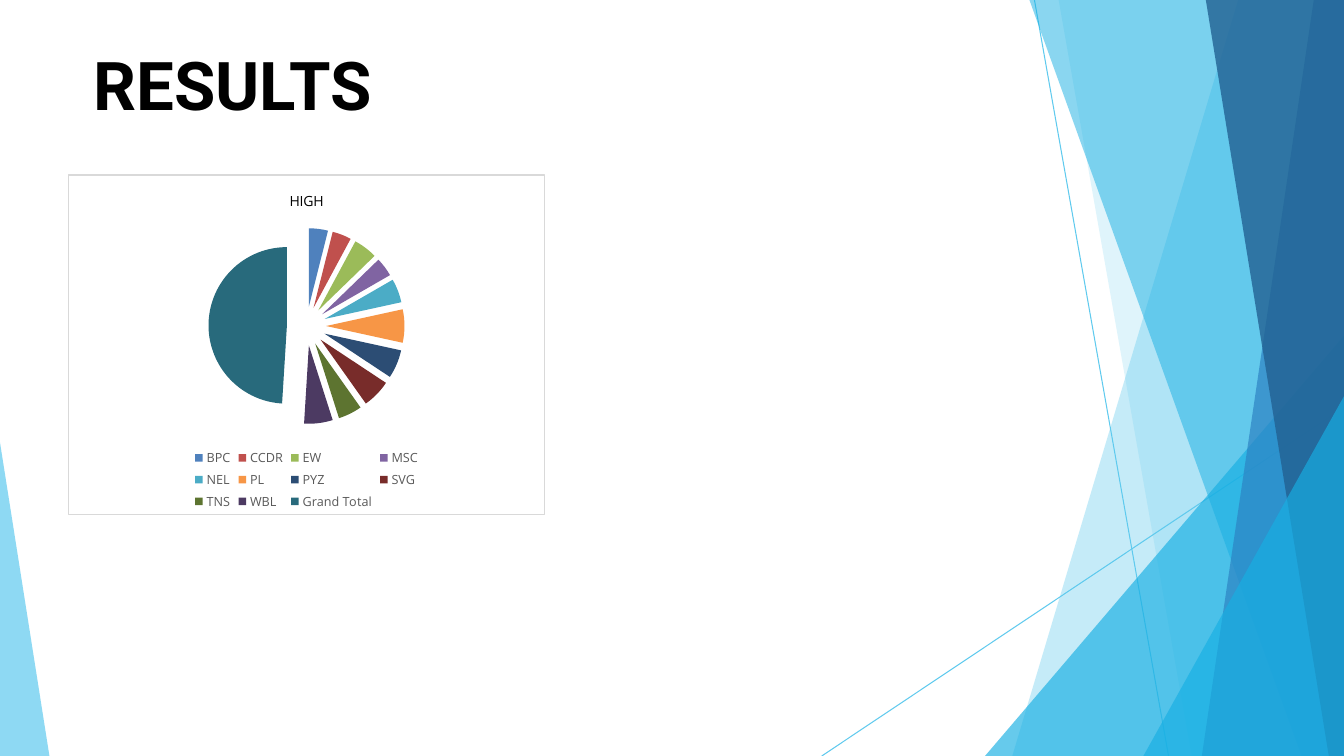
from lxml.etree import SubElement
from pptx import Presentation
from pptx.chart.data import CategoryChartData
from pptx.dml.color import RGBColor
from pptx.enum.chart import XL_CHART_TYPE, XL_LEGEND_POSITION
from pptx.enum.shapes import MSO_CONNECTOR
from pptx.enum.text import MSO_ANCHOR
from pptx.oxml import parse_xml
from pptx.oxml.ns import nsdecls, qn
from pptx.util import Pt

PX = 9144
WIDTH, HEIGHT = 1333, 750

SKY, AZURE, BLUE, NAVY = "5FCAEE", "17AFE3", "2D83C3", "226192"

RAYS = [((1026, 0), (1159, HEIGHT)), ((WIDTH, 404), (815, HEIGHT))]

FACETS = [
    (SKY, 36, [(WIDTH, 0), (1228, 0), (1004, HEIGHT), (WIDTH, HEIGHT)]),
    (SKY, 20, [(WIDTH, 0), (1050, 0), (1182, HEIGHT), (WIDTH, HEIGHT)]),
    (AZURE, 66, [(WIDTH, 333), (977, HEIGHT), (WIDTH, HEIGHT)]),
    (AZURE, 50, [(WIDTH, 0), (1021, 0), (1291, HEIGHT), (WIDTH, HEIGHT)]),
    (BLUE, 70, [(WIDTH, 0), (1303, 0), (1192, HEIGHT), (WIDTH, HEIGHT)]),
    (NAVY, 80, [(WIDTH, 0), (1196, 0), (1318, HEIGHT), (WIDTH, HEIGHT)]),
    (AZURE, 66, [(WIDTH, 393), (1134, HEIGHT), (WIDTH, HEIGHT)]),
    (SKY, 70, [(0, 439), (0, HEIGHT), (49, HEIGHT)]),
]

HIGH_RESULTS = [
    ("BPC", 4, "4F81BD"), ("CCDR", 4, "C0504D"), ("EW", 5, "9BBB59"),
    ("MSC", 4, "8064A2"), ("NEL", 5, "4BACC6"), ("PL", 7, "F79646"),
    ("PYZ", 6, "2C4D74"), ("SVG", 6, "782C2A"), ("TNS", 5, "5D7430"),
    ("WBL", 6, "4C3A62"), ("Grand Total", 50, "286A7C"),
]


def color(hex_code):
    return RGBColor.from_string(hex_code)


class SlideBuilder:
    """Draws styled elements, measured in px, on one slide."""

    heading_font = "Roboto"
    chart_font = "Open Sans"

    def __init__(self, slide):
        self.shapes = slide.shapes

    def ray(self, start, end):
        ray = self.shapes.add_connector(
            MSO_CONNECTOR.STRAIGHT, *(n * PX for n in start + end))
        ray.line.color.rgb = color(SKY)
        ray.line.width = Pt(0.75)
        SubElement(ray._element.spPr, qn("a:effectLst"))

    def facet(self, fill, opacity, corners):
        outline = self.shapes.build_freeform(*corners[0], scale=PX)
        outline.add_line_segments(corners[1:], close=True)
        facet = outline.convert_to_shape()
        facet.shadow.inherit = False
        facet.line.fill.background()
        facet.fill.solid()
        facet.fill.fore_color.rgb = color(fill)
        tint = facet._element.spPr.find(".//" + qn("a:srgbClr"))
        SubElement(tint, qn("a:alpha"), val=str(opacity * 1000))

    def heading(self, text, left, top, width, height):
        frame = self.shapes.add_textbox(
            left * PX, top * PX, width * PX, height * PX).text_frame
        frame.word_wrap = True
        frame.vertical_anchor = MSO_ANCHOR.TOP
        frame.margin_top = PX
        frame.margin_bottom = 0
        frame.text = text
        font = frame.paragraphs[0].runs[0].font
        font.name, font.size, font.bold = self.heading_font, Pt(48), True
        font.color.rgb = color("000000")

    def style(self, font, size, hex_code):
        font.name, font.size, font.bold = self.chart_font, Pt(size), False
        font.color.rgb = color(hex_code)

    def pie(self, title, results, explosion, left, top, width, height):
        chart_data = CategoryChartData()
        chart_data.categories = [name for name, _, _ in results]
        chart_data.add_series(title, [value for _, value, _ in results])
        chart = self.shapes.add_chart(
            XL_CHART_TYPE.PIE, left * PX, top * PX, width * PX, height * PX,
            chart_data).chart
        self.style(chart.font, 10, "000000")
        chart.has_title = True
        chart.chart_title.text_frame.text = title
        heading = chart.chart_title.text_frame.paragraphs[0].runs[0]
        self.style(heading.font, 10, "000000")
        chart.has_legend = True
        chart.legend.position = XL_LEGEND_POSITION.BOTTOM
        chart.legend.include_in_layout = False
        self.style(chart.legend.font, 9, "595959")
        plot = chart.plots[0]
        plot.vary_by_categories = True
        series = plot.series[0]
        for index, (_, _, hex_code) in enumerate(results):
            fill = series.points[index].format.fill
            fill.solid()
            fill.fore_color.rgb = color(hex_code)
        series._element.find(qn("c:dPt")).addprevious(parse_xml(
            f'<c:explosion {nsdecls("c")} val="{explosion}"/>'))
        chart._chartSpace.find(qn("c:chart")).addnext(parse_xml(
            f'<c:spPr {nsdecls("c", "a")}>'
            '<a:solidFill><a:srgbClr val="FFFFFF"/></a:solidFill>'
            f'<a:ln w="{Pt(1)}"><a:solidFill><a:srgbClr val="D9D9D9"/>'
            '</a:solidFill></a:ln></c:spPr>'))


def main():
    presentation = Presentation()
    presentation.slide_width = WIDTH * PX
    presentation.slide_height = HEIGHT * PX
    builder = SlideBuilder(
        presentation.slides.add_slide(presentation.slide_layouts[6]))
    for start, end in RAYS:
        builder.ray(start, end)
    for fill, opacity, corners in FACETS:
        builder.facet(fill, opacity, corners)
    builder.heading("RESULTS", 83, 42, 1168, 79)
    builder.pie("HIGH", HIGH_RESULTS, 25, 67, 173, 474, 338)
    presentation.save("out.pptx")


if __name__ == "__main__":
    main()
